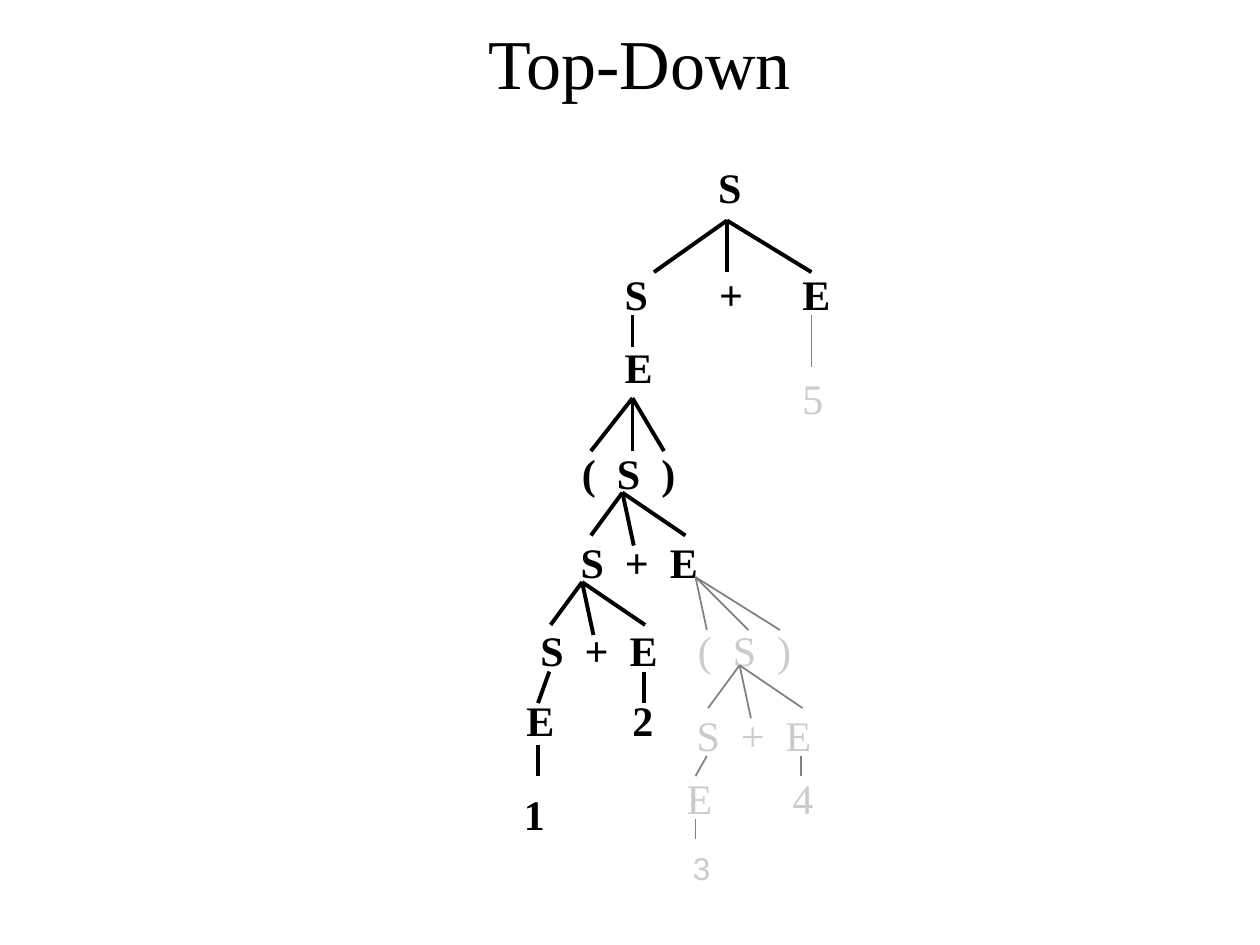
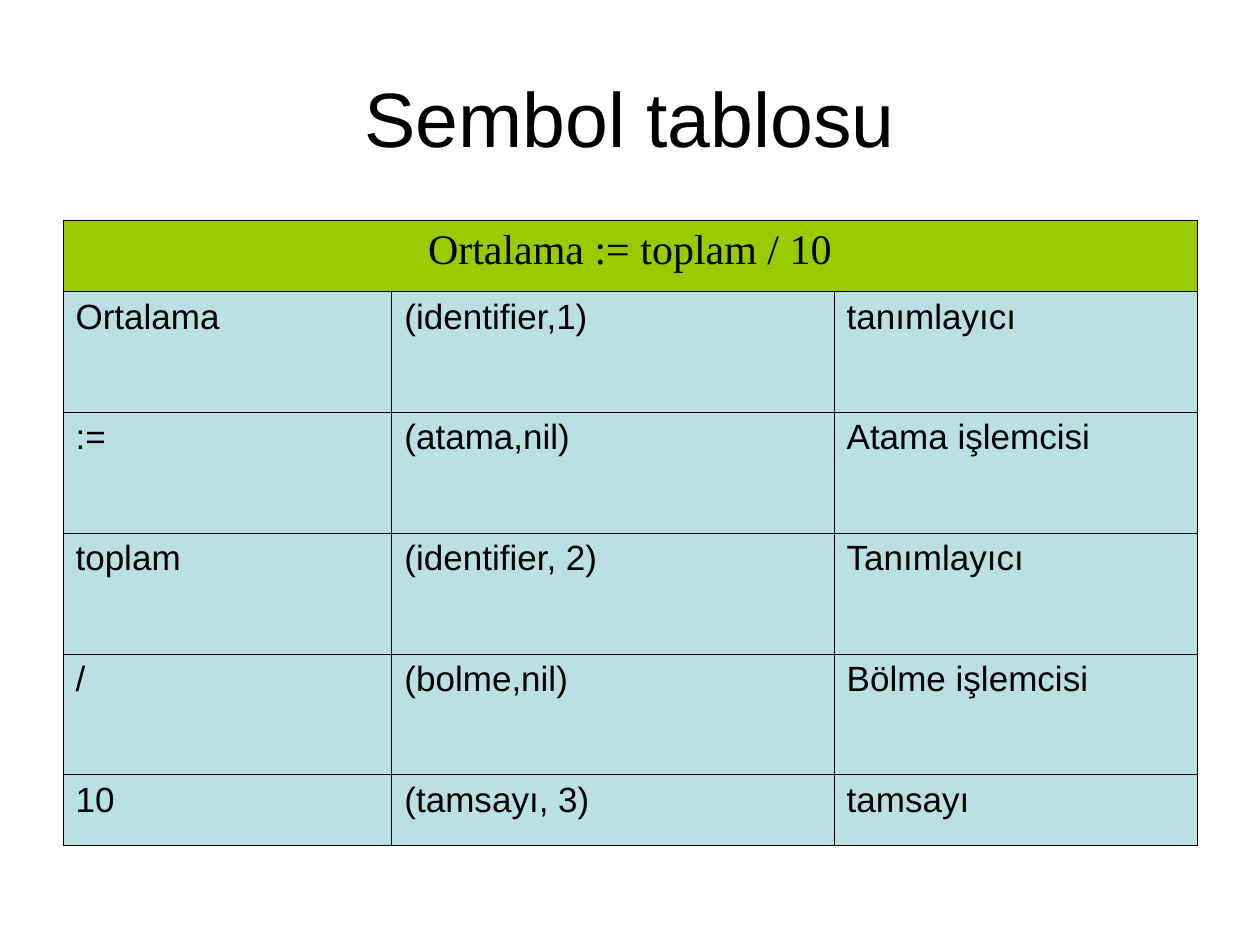
import pptx
import pptx.dml.color
import pptx.enum.shapes
import pptx.enum.text
import pptx.oxml.ns
import pptx.util
import lxml.etree

PX = 9144  # EMU per px, at 100 px to the inch
SERIF, SANS = "Times New Roman", "Arial"
BLACK, PALE, GREY = "000000", "CBCBCB", "808080"
LIME, ICE = "99CC00", "BBE0E3"
CENTER = pptx.enum.text.PP_ALIGN.CENTER

# Parse tree: looks of the derived part and of the part still to derive
DERIVED = {"text": {"name": SERIF, "size": 24, "bold": True, "color": BLACK},
           "line": (BLACK, 2.25)}
PENDING = {"text": {"name": SERIF, "size": 24, "bold": False, "color": PALE},
           "line": (GREY, 1)}
SMALL_LEAF = {"name": SANS, "size": 18, "bold": False, "color": PALE}

LABEL_WIDTHS = {"S": 38, "E": 42, "+": 39, "( S )": 94, "S + E": 113}
LEAF_WIDTH, LABEL_HEIGHT = 36, 50

# Labels are (text, left, top), branches are (apex, steps from the apex)
SUM_FAN = [(-25, 34), (9, 42), (50, 34)]
TREE = [
    (DERIVED,
     [("S", 160, 3), ("S", 86, 88), ("+", 161, 88), ("E", 227, 88),
      ("E", 86, 146), ("( S )", 52, 230), ("S + E", 51, 301),
      ("S + E", 19, 371), ("E", 8, 426), ("2", 92, 426), ("1", 6, 501)],
     [((177, 55), [(-58, 41), (0, 41), (67, 41)]),
      ((102, 130), [(0, 25)]),
      ((102, 196), [(-33, 42), (0, 42), (25, 42)]),
      ((94, 271), SUM_FAN),
      ((62, 342), SUM_FAN),
      ((36, 413), [(-9, 25)]),
      ((111, 413), [(0, 25)]),
      ((27, 471), [(0, 25)])]),
    (PENDING,
     [("5", 227, 171), ("( S )", 144, 371), ("S + E", 143, 438),
      ("E", 135, 488), ("4", 219, 488)],
     [((244, 130), [(0, 41)]),
      ((152, 338), [(9, 42), (42, 42), (67, 42)]),
      ((187, 408), SUM_FAN),
      ((161, 480), [(-9, 16)]),
      ((236, 480), [(0, 16)]),
      ((152, 530), [(0, 16)])]),
]

# Symbol table
STATEMENT = "Ortalama := toplam / 10"
SYMBOLS = [
    ("Ortalama", "(identifier,1)", "tanımlayıcı"),
    (":=", "(atama,nil)", "Atama işlemcisi"),
    ("toplam", "(identifier, 2)", "Tanımlayıcı"),
    ("/", "(bolme,nil)", "Bölme işlemcisi"),
    ("10", "(tamsayı, 3)", "tamsayı"),
]
COLUMN_WIDTHS = [261, 351, 288]
ROW_HEIGHTS = [56, 96, 96, 96, 96, 56]


def emu(*lengths):
    return [pptx.util.Emu(length * PX) for length in lengths]


def color(hex_string):
    return pptx.dml.color.RGBColor.from_string(hex_string)


def style(font, looks):
    for key, value in looks.items():
        if key == "color":
            font.color.rgb = color(value)
        else:
            setattr(font, key, pptx.util.Pt(value) if key == "size" else value)


def add_title(slide, box, text, looks, indent=0):
    frame = slide.shapes.add_textbox(*emu(*box)).text_frame
    frame.word_wrap = True
    frame.vertical_anchor = pptx.enum.text.MSO_ANCHOR.MIDDLE
    frame.margin_left = emu(10 + indent)[0]
    heading = frame.paragraphs[0]
    heading.alignment = CENTER
    run = heading.add_run()
    run.text = text
    style(run.font, looks)


def add_label(slide, box, text, looks):
    frame = slide.shapes.add_textbox(*emu(*box)).text_frame
    frame.word_wrap = False
    frame.auto_size = pptx.enum.text.MSO_AUTO_SIZE.SHAPE_TO_FIT_TEXT
    symbols = frame.paragraphs[0]
    for char in text:
        run = symbols.add_run()
        run.text = char
        style(run.font, looks)
        if char == " ":  # widen the gap between symbols by 6 pt
            run._r.get_or_add_rPr().set("spc", "600")


def add_branch(slide, start, end, line):
    branch = slide.shapes.add_connector(
        pptx.enum.shapes.MSO_CONNECTOR.STRAIGHT, *emu(*start, *end))
    line_color, width = line
    branch.line.color.rgb = color(line_color)
    branch.line.width = pptx.util.Pt(width)
    lxml.etree.SubElement(branch._element.spPr,
                          pptx.oxml.ns.qn("a:effectLst"))


def add_tree(slide, box):
    left, top = box[:2]
    for looks, labels, branches in TREE:
        for text, x, y in labels:
            width = LABEL_WIDTHS.get(text, LEAF_WIDTH)
            add_label(slide, (left + x, top + y, width, LABEL_HEIGHT),
                      text, looks["text"])
        for (x, y), steps in branches:
            apex = (left + x, top + y)
            for dx, dy in steps:
                add_branch(slide, apex, (apex[0] + dx, apex[1] + dy),
                           looks["line"])
    add_label(slide, (left + 140, top + 549, 34, 40), "3", SMALL_LEAF)


def add_borders(cell):
    properties = cell._tc.get_or_add_tcPr()
    for side in ("lnL", "lnR", "lnT", "lnB"):
        border = lxml.etree.SubElement(
            properties, pptx.oxml.ns.qn("a:" + side), w="5715")
        fill = lxml.etree.SubElement(border, pptx.oxml.ns.qn("a:solidFill"))
        lxml.etree.SubElement(fill, pptx.oxml.ns.qn("a:srgbClr"), val=BLACK)


def fill_cell(cell, text, looks, background):
    add_borders(cell)
    cell.fill.solid()
    cell.fill.fore_color.rgb = color(background)
    if text:
        run = cell.text_frame.paragraphs[0].add_run()
        run.text = text
        style(run.font, looks)


def add_symbol_table(slide, box):
    rows = [(STATEMENT, "", "")] + SYMBOLS
    table = slide.shapes.add_table(
        len(rows), len(COLUMN_WIDTHS), *emu(*box)).table
    table.first_row = table.horz_banding = False
    for column, width in zip(table.columns, emu(*COLUMN_WIDTHS)):
        column.width = width
    for row, height in zip(table.rows, emu(*ROW_HEIGHTS)):
        row.height = height

    header = {"name": SERIF, "size": 24, "bold": False, "color": BLACK}
    body = {"name": SANS, "size": 20, "bold": False, "color": BLACK}
    for r, texts in enumerate(rows):
        looks, background = (body, ICE) if r else (header, LIME)
        for c, text in enumerate(texts):
            fill_cell(table.cell(r, c), text, looks, background)

    # The statement spans all columns
    statement = table.cell(0, 0)
    statement.merge(table.cell(0, len(COLUMN_WIDTHS) - 1))
    statement.text_frame.paragraphs[0].alignment = CENTER


def build_tree_slide(slide):
    add_title(slide, (50, 30, 900, 38), "Top-Down",
              {"name": SERIF, "size": 40, "color": BLACK}, indent=15)
    add_tree(slide, (400, 120, 270, 590))


def build_symbol_slide(slide):
    add_title(slide, (50, 30, 900, 125), "Sembol tablosu",
              {"name": SANS, "size": 44, "color": BLACK})
    add_symbol_table(slide, (50, 175, 900, sum(ROW_HEIGHTS)))


def main():
    deck = pptx.Presentation()
    deck.slide_width, deck.slide_height = emu(1000, 750)
    for build in (build_tree_slide, build_symbol_slide):
        build(deck.slides.add_slide(deck.slide_layouts[6]))
    deck.save("out.pptx")


if __name__ == "__main__":
    main()
